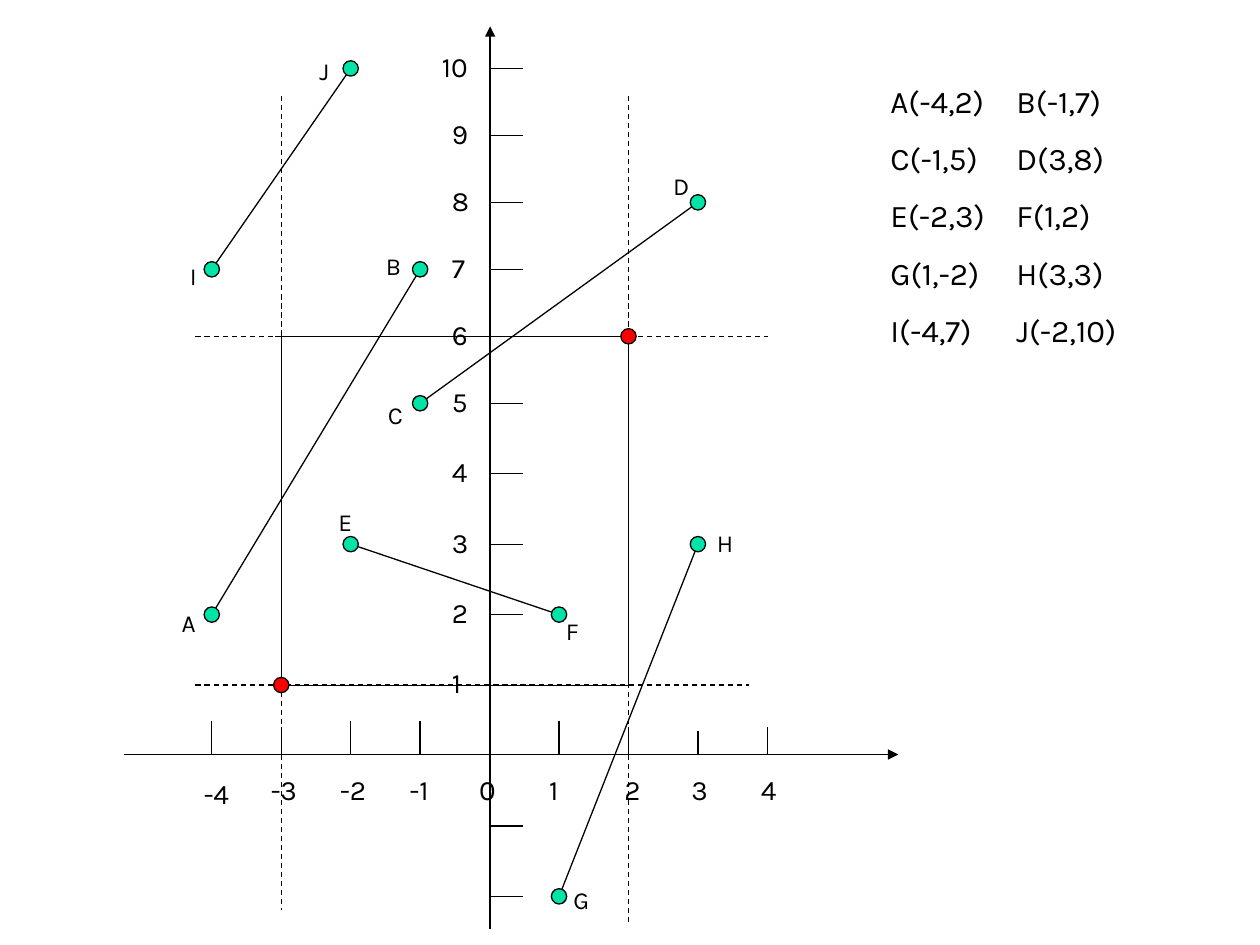
from lxml.etree import SubElement
from pptx import Presentation
from pptx.dml.color import RGBColor
from pptx.enum.dml import MSO_LINE_DASH_STYLE as Dash
from pptx.enum.shapes import MSO_CONNECTOR as Conn, MSO_SHAPE as Shape
from pptx.enum.text import MSO_AUTO_SIZE as AutoSize
from pptx.oxml.ns import qn
from pptx.util import Cm, Pt

COLORS = {"ink": "000000", "point": "00E4A8", "corner": "FF0000"}
FONT = "Karla"

# name: (x, y), label box offset from the point in cm
POINTS = {
    "A": ((-4, 2), (-0.86, -0.25)),
    "B": ((-1, 7), (-0.94, -0.5)),
    "C": ((-1, 5), (-0.9, -0.2)),
    "D": ((3, 8), (-0.75, -0.75)),
    "E": ((-2, 3), (-0.5, -0.88)),
    "F": ((1, 2), (-0.11, -0.09)),
    "G": ((1, -2), (0.04, -0.35)),
    "H": ((3, 3), (0.13, -0.45)),
    "I": ((-4, 7), (-0.69, -0.3)),
    "J": ((-2, 10), (-0.88, -0.38)),
}
SEGMENTS = ["AB", "CD", "EF", "GH", "IJ"]

# clip window, in axis units
X_MIN, Y_MIN, X_MAX, Y_MAX = -3, 1, 2, 6

# value, tick top in cm, label box offset from the tick in cm
X_AXIS = [
    (-4, 14.53, -0.41), (-3, 14.66, -0.46), (-2, 14.53, -0.46),
    (-1, 14.53, -0.46), (0, 14.66, -0.46), (1, 14.53, -0.45),
    (2, 14.66, -0.33), (3, 14.73, -0.38), (4, 14.66, -0.38),
]
Y_TICKS = [-2, -1, 2, 3, 4, 5, 7, 8, 9, 10]
Y_LABELS = range(1, 11)
X_AXIS_Y, Y_AXIS_X = 15.21, 9.88
DOT = 0.31


def to_x(value):
    return 9.87 + 1.4 * value


def to_y(value):
    """The vertical scale is a little tighter above 5."""
    return 8.13 + (5 - value) * (1.42 if value < 5 else 1.35)


def add_line(s, x1, y1, x2, y2, width=0.75, dashed=False, arrow=False):
    line = s.shapes.add_connector(Conn.STRAIGHT, Cm(x1), Cm(y1), Cm(x2), Cm(y2))
    line.line.color.rgb = RGBColor.from_string(COLORS["ink"])
    line.line.width = Pt(width)
    if dashed:
        line.line.dash_style = Dash.DASH
    if arrow:
        SubElement(line.line._get_or_add_ln(), qn("a:tailEnd"), type="triangle")
    SubElement(line._element.spPr, qn("a:effectLst"))


def add_dot(s, x, y, color):
    sp = s.shapes.add_shape(Shape.OVAL, Cm(to_x(x) - DOT / 2),
                            Cm(to_y(y) - DOT / 2), Cm(DOT), Cm(DOT))
    sp.shadow.inherit = False
    sp.fill.solid()
    sp.fill.fore_color.rgb = RGBColor.from_string(COLORS[color])
    sp.line.color.rgb = RGBColor.from_string(COLORS["ink"])
    sp.line.width = Pt(0.75)


def add_text(s, lines, left, top, width, height, size, gap=0):
    tf = s.shapes.add_textbox(Cm(left), Cm(top), Cm(width), Cm(height)).text_frame
    tf.word_wrap = True
    tf.auto_size = AutoSize.SHAPE_TO_FIT_TEXT
    for i, text in enumerate(lines):
        p = tf.paragraphs[0] if i == 0 else tf.add_paragraph()
        if i:
            p.space_before = Pt(gap)
        if "\t" in text:
            tabs = SubElement(p._p.get_or_add_pPr(), qn("a:tabLst"))
            SubElement(tabs, qn("a:tab"), pos=str(Cm(2.54)), algn="l")
        r = p.add_run()
        r.text = text
        r.font.name = FONT
        r.font.size = Pt(size)
        r.font.color.rgb = RGBColor.from_string(COLORS["ink"])


def add_axes(s):
    add_line(s, 2.49, X_AXIS_Y, 18.11, X_AXIS_Y, arrow=True)
    add_line(s, Y_AXIS_X, 18.72, Y_AXIS_X, 0.53, arrow=True)
    for value, top, dx in X_AXIS:
        x = to_x(value)
        add_line(s, x, top, x, X_AXIS_Y)
        add_text(s, [str(value)], x + dx, 15.52 if value == -4 else 15.45,
                 1.32 if value < 0 else 0.79, 0.94, 16)
    for value in Y_TICKS:
        add_line(s, 9.9, to_y(value), 10.54, to_y(value))
    for value in Y_LABELS:
        left, width = (8.66, 1.4) if value > 9 else (8.86, 0.79)
        add_text(s, [str(value)], left, to_y(value) - 0.51, width, 0.94, 16)


def add_window(s):
    for y, dash_end in ((Y_MAX, 15.49), (Y_MIN, 15.09)):
        add_line(s, 3.94, to_y(y), dash_end, to_y(y), dashed=True)
        add_line(s, to_x(X_MIN) - 0.12, to_y(y), to_x(X_MAX) + 0.08, to_y(y),
                 width=0.5)
    for x, dash_end in ((X_MIN, 18.34), (X_MAX, 18.59)):
        add_line(s, to_x(x), 1.93, to_x(x), dash_end, dashed=True)
        add_line(s, to_x(x), to_y(Y_MAX), to_x(x), to_y(Y_MIN))
    add_dot(s, X_MIN, Y_MIN, "corner")
    add_dot(s, X_MAX, Y_MAX, "corner")


def add_segments(s):
    for start, end in SEGMENTS:
        (x1, y1), (x2, y2) = POINTS[start][0], POINTS[end][0]
        add_line(s, to_x(x1), to_y(y1), to_x(x2), to_y(y2))
    for name, ((x, y), (dx, dy)) in POINTS.items():
        add_dot(s, x, y, "point")
        add_text(s, [name], to_x(x) + dx, to_y(y) + dy, 0.99, 0.86, 14)


def add_coordinate_list(s):
    rows = ["\t".join(f"{n}({POINTS[n][0][0]},{POINTS[n][0][1]})" for n in pair)
            for pair in SEGMENTS]
    add_text(s, rows, 17.7, 1.52, 6.2, 5.66, 18, gap=11.2)


def main():
    prs = Presentation()
    prs.slide_width, prs.slide_height = Cm(25.4), Cm(19.05)
    s = prs.slides.add_slide(prs.slide_layouts[6])
    add_axes(s)
    add_window(s)
    add_segments(s)
    add_coordinate_list(s)
    prs.save("out.pptx")


if __name__ == "__main__":
    main()
